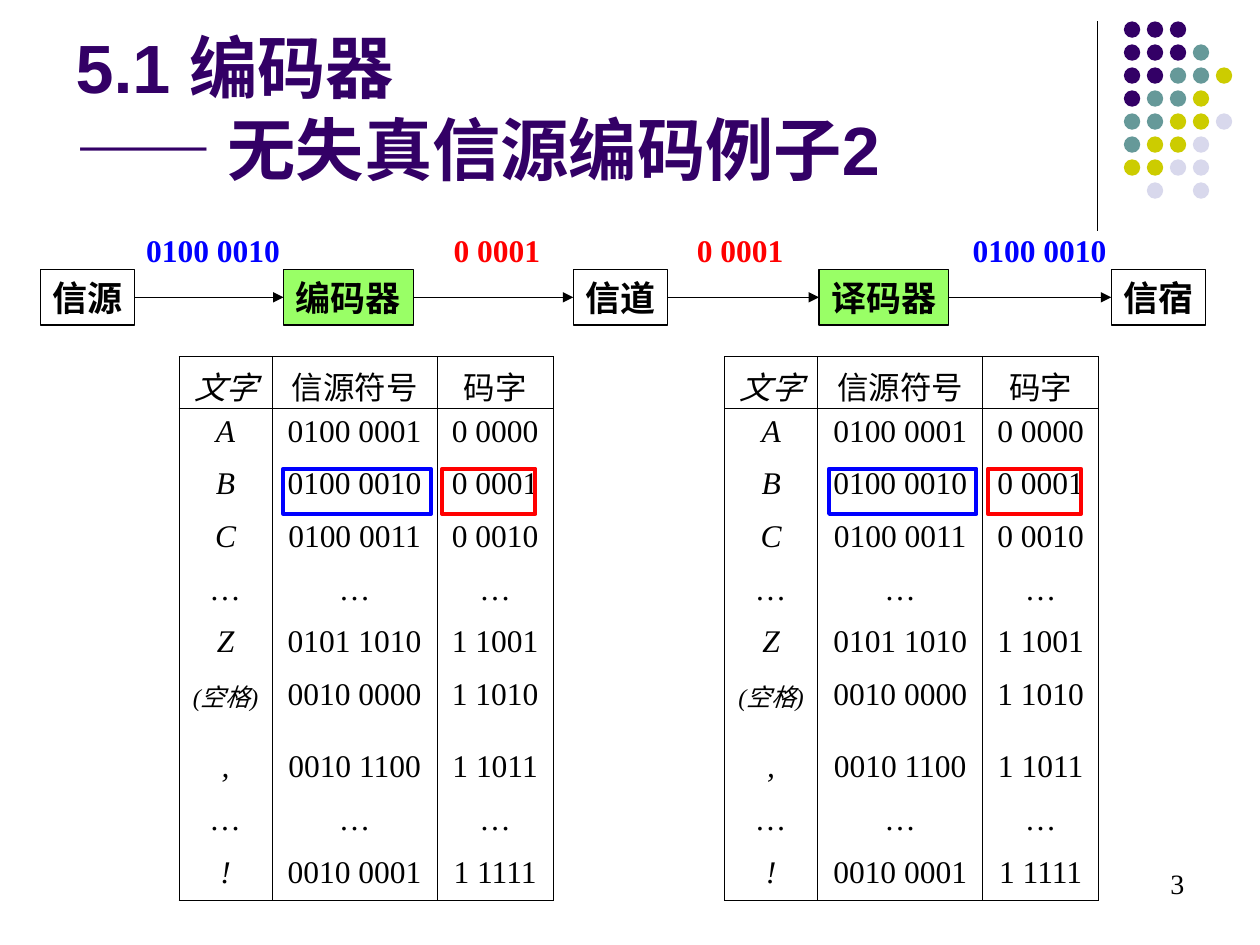
from dataclasses import dataclass

from lxml import etree
from pptx import Presentation
from pptx.dml.color import RGBColor
from pptx.enum.shapes import MSO_CONNECTOR, MSO_SHAPE
from pptx.enum.text import MSO_ANCHOR, PP_ALIGN
from pptx.oxml.ns import qn
from pptx.util import Inches, Pt

RECT, OVAL = MSO_SHAPE.RECTANGLE, MSO_SHAPE.OVAL
STRAIGHT = MSO_CONNECTOR.STRAIGHT
LEFT, CENTER, RIGHT = PP_ALIGN.LEFT, PP_ALIGN.CENTER, PP_ALIGN.RIGHT
TOP, BOTTOM = MSO_ANCHOR.TOP, MSO_ANCHOR.BOTTOM

BLACK, WHITE, PURPLE = "000000", "FFFFFF", "330066"
BLUE, RED, GREEN = "0000FF", "FF0000", "99FF66"
SERIF, SANS = "Times New Roman", "Arial"


@dataclass
class Block:
    text: str
    x: float
    w: float
    fill: str


@dataclass
class Label:
    text: str
    x: float
    w: float
    color: str


BLOCKS = [
    Block("信源", 0.32, 0.75, WHITE),
    Block("编码器", 2.25, 1.03, GREEN),
    Block("信道", 4.55, 0.75, WHITE),
    Block("译码器", 6.5, 1.03, GREEN),
    Block("信宿", 8.82, 0.75, WHITE),
]
LABELS = [
    Label("0100 0010", 1.16, 1.1, BLUE),
    Label("0 0001", 3.6, 0.72, RED),
    Label("0 0001", 5.53, 0.72, RED),
    Label("0100 0010", 7.72, 1.1, BLUE),
]
CODES = [
    ("文字", "信源符号", "码字"),
    ("A", "0100 0001", "0 0000"),
    ("B", "0100 0010", "0 0001"),
    ("C", "0100 0011", "0 0010"),
    ("…", "…", "…"),
    ("Z", "0101 1010", "1 1001"),
    ("(空格)", "0010 0000", "1 1010"),
    (",", "0010 1100", "1 1011"),
    ("…", "…", "…"),
    ("!", "0010 0001", "1 1111"),
]
COL_WIDTHS = [0.74, 1.31, 0.92]
ROW_HEIGHTS = [0.41, 0.41, 0.42, 0.42, 0.42, 0.42, 0.57, 0.42, 0.42, 0.41]
TABLE_LEFTS = [1.42, 5.75]

DOT_COLORS = {"P": PURPLE, "T": "669999", "Y": "CCCC00", "L": "D8D8EC"}
DOT_ROWS = ["PPP", "PPPT", "PPTTY", "PTTY", "TTYYL", "TYYL", "YYLL", " L L"]
DOT_PITCH = 0.73 / 4


def rgb(color: str) -> RGBColor:
    return RGBColor.from_string(color)


def write(tf, text: str, size: float, font: str, color: str, bold=False,
          italic=False, align=LEFT) -> None:
    tf.text = text
    for p in tf.paragraphs:
        p.alignment = align
        for r in p.runs:
            r.font.size, r.font.name = Pt(size), font
            r.font.bold, r.font.italic = bold, italic
            r.font.color.rgb = rgb(color)


def add_box(s, kind, x: float, y: float, w: float, h: float,
            fill=None, line=None, weight=0.75):
    sp = s.shapes.add_shape(kind, Inches(x), Inches(y), Inches(w), Inches(h))
    sp.shadow.inherit = False
    if fill:
        sp.fill.solid()
        sp.fill.fore_color.rgb = rgb(fill)
    else:
        sp.fill.background()
    if line:
        sp.line.color.rgb = rgb(line)
        sp.line.width = Pt(weight)
    else:
        sp.line.fill.background()
    return sp


def add_line(s, x1=0.0, y1=0.0, x2=0.0, y2=0.0):
    cn = s.shapes.add_connector(STRAIGHT, Inches(x1), Inches(y1), Inches(x2), Inches(y2))
    cn.line.color.rgb = rgb(BLACK)
    cn.line.width = Pt(0.75)
    etree.SubElement(cn.element.spPr, qn("a:effectLst"))
    return cn


def add_arrow(s, start, end) -> None:
    cn = add_line(s)
    cn.begin_connect(start, 3)
    cn.end_connect(end, 1)
    etree.SubElement(cn.element.spPr.find(qn("a:ln")), qn("a:tailEnd"), type="triangle")


def add_label(s, x: float, y: float, w: float, h: float):
    tf = s.shapes.add_textbox(Inches(x), Inches(y), Inches(w), Inches(h)).text_frame
    tf.margin_left = tf.margin_right = tf.margin_top = tf.margin_bottom = 0
    return tf


def set_borders(cell, sides: str) -> None:
    tcPr = cell._tc.get_or_add_tcPr()
    for side in "LRTB":
        ln = etree.SubElement(tcPr, qn(f"a:ln{side}"), w=str(Pt(0.45)))
        if side in sides:
            fill = etree.SubElement(ln, qn("a:solidFill"))
            etree.SubElement(fill, qn("a:srgbClr"), val=BLACK)
        else:
            etree.SubElement(ln, qn("a:noFill"))


def add_code_table(s, x: float, y: float) -> None:
    table = s.shapes.add_table(
        len(CODES), len(COL_WIDTHS), Inches(x), Inches(y),
        Inches(sum(COL_WIDTHS)), Inches(sum(ROW_HEIGHTS))).table
    table.first_row = table.horz_banding = False
    for col, w in zip(table.columns, COL_WIDTHS):
        col.width = Inches(w)
    for i, (row, h) in enumerate(zip(table.rows, ROW_HEIGHTS)):
        row.height = Inches(h)
        sides = {0: "LRTB", 1: "LRT", len(CODES) - 1: "LRB"}.get(i, "LR")
        for j, (cell, text) in enumerate(zip(row.cells, CODES[i])):
            set_borders(cell, sides)
            cell.fill.background()
            cell.vertical_anchor = TOP
            cell.margin_bottom = 0
            size = 14 if text == "(空格)" else 18
            write(cell.text_frame, text, size, SERIF, BLACK, italic=j == 0, align=CENTER)


def main() -> None:
    prs = Presentation()
    prs.slide_width, prs.slide_height = Inches(10), Inches(7.5)
    s = prs.slides.add_slide(prs.slide_layouts[5])

    # Corner decoration: rule and dot grid
    add_line(s, 8.71, 0.17, 8.71, 1.83)
    for i, row in enumerate(DOT_ROWS):
        for j, key in enumerate(row):
            if key in DOT_COLORS:
                add_box(s, OVAL, 8.92 + j * DOT_PITCH, 0.17 + i * DOT_PITCH,
                        0.13, 0.13, DOT_COLORS[key])

    # Title
    title = s.shapes.title
    title.left, title.top = Inches(0.5), Inches(0.13)
    title.width, title.height = Inches(8.25), Inches(1.42)
    title.text_frame.vertical_anchor = BOTTOM
    write(title.text_frame, "5.1 编码器\v—— 无失真信源编码例子2", 39, SANS, PURPLE, bold=True)

    # Transmission chain
    boxes = []
    for b in BLOCKS:
        sp = add_box(s, RECT, b.x, 2.14, b.w, 0.44, b.fill, BLACK)
        sp.text_frame.word_wrap = False
        write(sp.text_frame, b.text, 20, SANS, BLACK, bold=True)
        boxes.append(sp)
    for start, end in zip(boxes, boxes[1:]):
        add_arrow(s, start, end)
    for lb in LABELS:
        tf = add_label(s, lb.x, 1.83, lb.w, 0.3)
        tf.word_wrap = False
        write(tf, lb.text, 18, SERIF, lb.color, bold=True)

    # Code tables with the row for B marked
    for x in TABLE_LEFTS:
        add_code_table(s, x, 2.83)
        add_box(s, RECT, x + 0.83, 3.72, 1.17, 0.36, line=BLUE, weight=2.25)
        add_box(s, RECT, x + 2.09, 3.72, 0.74, 0.36, line=RED, weight=2.25)

    # Slide number
    tf = add_label(s, 7.27, 6.88, 2.13, 0.4)
    tf.word_wrap = True
    write(tf, "3", 16, SERIF, BLACK, align=RIGHT)

    prs.save("out.pptx")


if __name__ == "__main__":
    main()
